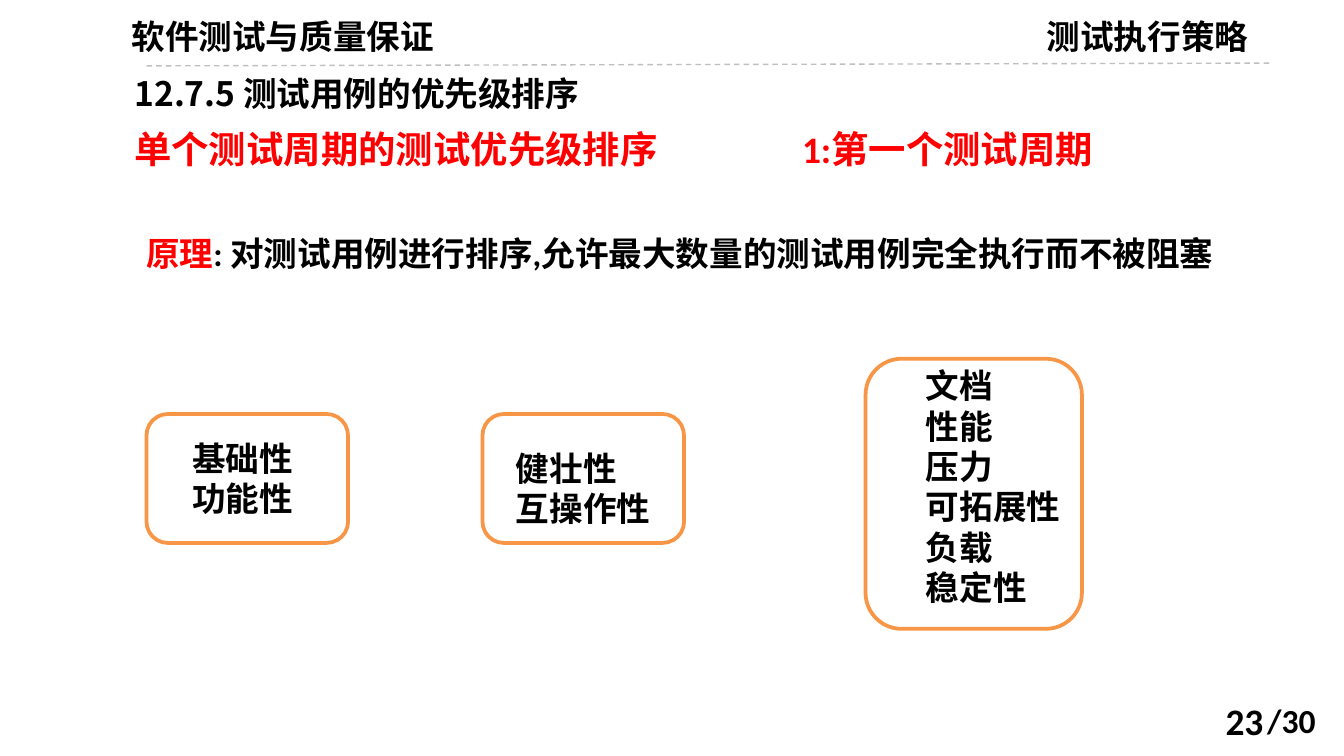
from dataclasses import dataclass

import pptx
import pptx.dml.color
import pptx.enum.dml
import pptx.enum.shapes
import pptx.enum.text
import pptx.oxml
import pptx.oxml.ns
import pptx.util

Pt = pptx.util.Pt
ALIGN = pptx.enum.text.PP_ALIGN
ANCHOR = pptx.enum.text.MSO_ANCHOR

LATIN = "Calibri"
CJK = "Noto Sans CJK SC"
BLACK, RED, ORANGE, GRAY = "000000", "FF0000", "F79646", "BFBFBF"


@dataclass
class Box:
    left: float
    top: float
    width: float
    height: float


@dataclass
class Run:
    text: str
    color: str = BLACK
    size: float = 18
    font: str = LATIN


@dataclass
class Label:
    box: Box
    paragraphs: list[list[Run]]
    align: ALIGN = ALIGN.LEFT
    anchor: ANCHOR = ANCHOR.TOP


@dataclass
class Group:
    frame: Box
    text_box: Box
    items: list[str]


def rgb(color: str) -> pptx.dml.color.RGBColor:
    return pptx.dml.color.RGBColor.from_string(color)


def place(sp, box: Box) -> None:
    sp.left, sp.top = Pt(box.left), Pt(box.top)
    sp.width, sp.height = Pt(box.width), Pt(box.height)


def add_run(p, run: Run) -> None:
    r = p.add_run()
    r.text = run.text
    r.font.size = Pt(run.size)
    r.font.bold = True
    r.font.color.rgb = rgb(run.color)
    r.font.name = run.font
    # East Asian typeface follows the Latin one
    ea = pptx.oxml.parse_xml(f'<a:ea {pptx.oxml.ns.nsdecls("a")} typeface="{run.font}"/>')
    r.font._element.append(ea)


def write(sp, label: Label) -> None:
    place(sp, label.box)
    tf = sp.text_frame
    tf.word_wrap = True
    tf.auto_size = pptx.enum.text.MSO_AUTO_SIZE.NONE
    tf.vertical_anchor = label.anchor
    for i, runs in enumerate(label.paragraphs):
        p = tf.paragraphs[0] if i == 0 else tf.add_paragraph()
        p.alignment = label.align
        for run in runs:
            add_run(p, run)


def add_label(s, label: Label) -> None:
    write(s.shapes.add_textbox(0, 0, 0, 0), label)


def add_rule(s, x1: float, y1: float, x2: float, y2: float) -> None:
    line = s.shapes.add_connector(
        pptx.enum.shapes.MSO_CONNECTOR.STRAIGHT, Pt(x1), Pt(y1), Pt(x2), Pt(y2))
    line.line.color.rgb = rgb(GRAY)
    line.line.width = Pt(0.75)
    line.line.dash_style = pptx.enum.dml.MSO_LINE.DASH
    line._element.spPr.append(
        pptx.oxml.parse_xml(f'<a:effectLst {pptx.oxml.ns.nsdecls("a")}/>'))


def add_group(s, group: Group) -> None:
    add_label(s, Label(group.text_box, [[Run(item)] for item in group.items]))
    sp = s.shapes.add_shape(pptx.enum.shapes.MSO_SHAPE.ROUNDED_RECTANGLE, 0, 0, 0, 0)
    place(sp, group.frame)
    sp.shadow.inherit = False
    sp.fill.background()
    sp.line.color.rgb = rgb(ORANGE)
    sp.line.width = Pt(2)


TITLE = Label(Box(64.8, 35.3, 521.3, 28.8),
              [[Run("12.7.5 测试用例的优先级排序", font=CJK)]], anchor=ANCHOR.MIDDLE)

LABELS = [
    # Header
    Label(Box(44.6, 5, 213.8, 28.8), [[Run("软件测试与质量保证", font=CJK)]],
          ALIGN.CENTER, ANCHOR.MIDDLE),
    Label(Box(553.7, 5, 160, 28.8), [[Run("测试执行策略")]]),
    # Subtitles
    Label(Box(64.8, 64.1, 320.4, 31.7), [[Run("单个测试周期的测试优先级排序", RED, 20)]]),
    Label(Box(422.6, 64.1, 290, 31.7), [[Run("1:第一个测试周期", RED, 20)]]),
    # Principle
    Label(Box(71.3, 121, 594.7, 51), [[
        Run("原理", RED),
        Run(": 对测试用例进行排序,允许最大数量的测试用例完全执行而不被阻塞")]]),
    # Page number
    Label(Box(671.8, 371.5, 47.5, 28.8), [[Run("/30")]]),
    Label(Box(516.2, 375.1, 167.8, 21.6), [[Run("23", size=20)]],
          ALIGN.RIGHT, ANCHOR.MIDDLE),
]

GROUPS = [
    Group(Box(78.5, 221.8, 108, 69.1), Box(95.8, 231.1, 111.6, 51.1),
          ["基础性", "功能性"]),
    Group(Box(258.5, 221.8, 108, 69.1), Box(269.3, 236.2, 111.6, 51.1),
          ["健壮性", "互操作性"]),
    Group(Box(463.7, 192.2, 115.9, 144.7), Box(488.9, 192.2, 111.6, 138.2),
          ["文档", "性能", "压力", "可拓展性", "负载", "稳定性"]),
]


def main() -> None:
    prs = pptx.Presentation()
    prs.slide_width, prs.slide_height = Pt(720), Pt(405)
    s = prs.slides.add_slide(prs.slide_layouts[5])

    write(s.shapes.title, TITLE)
    add_rule(s, 78.5, 35.3, 681.8, 33.8)
    for label in LABELS:
        add_label(s, label)
    for group in GROUPS:
        add_group(s, group)

    prs.save("out.pptx")


if __name__ == "__main__":
    main()
